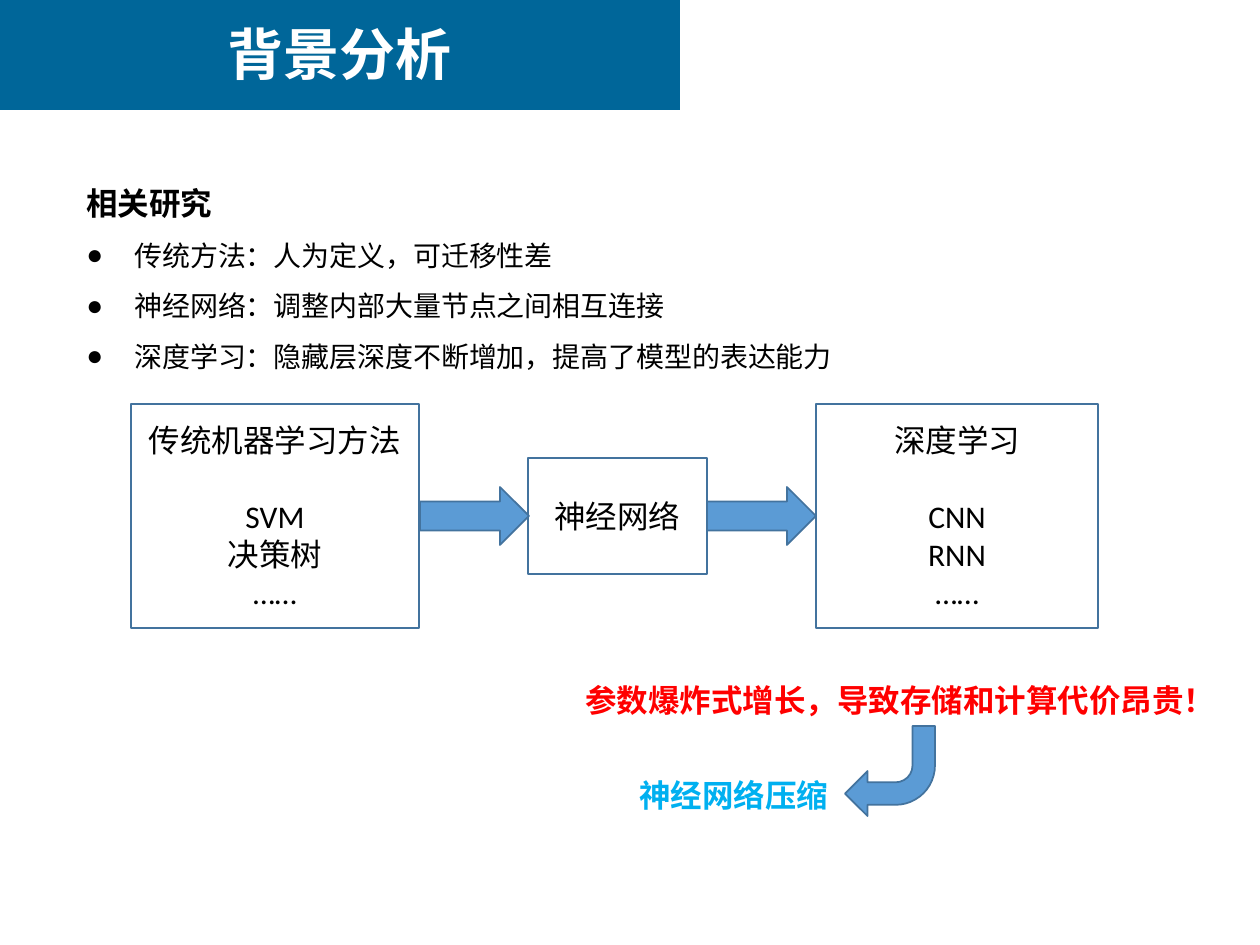
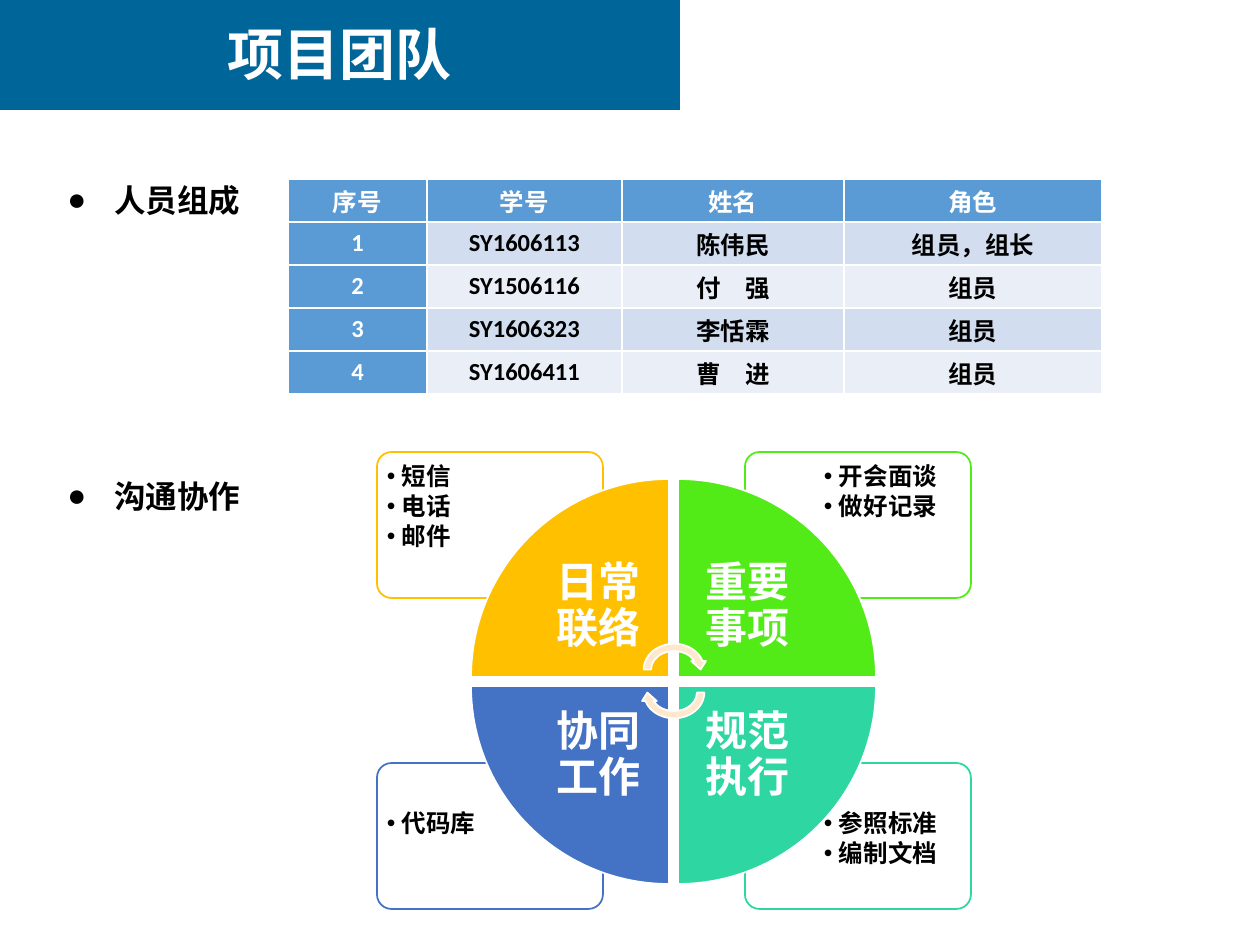
from lxml import etree
from pptx import Presentation, util as u
from pptx.dml.color import RGBColor
from pptx.enum import shapes, text
from pptx.oxml import ns

PX = 914400 / 126
NAVY = RGBColor(0x00, 0x66, 0x99)
BLUE = RGBColor(0x5B, 0x9B, 0xD5)
EDGE = RGBColor(0x43, 0x73, 0x9E)
WHITE = RGBColor(0xFF, 0xFF, 0xFF)
BLACK = RGBColor(0x00, 0x00, 0x00)
RED = RGBColor(0xFF, 0x00, 0x00)
SKY = RGBColor(0x00, 0xB0, 0xF0)
AMBER = RGBColor(0xFF, 0xC0, 0x00)
GREEN = RGBColor(0x53, 0xEB, 0x17)
TEAL = RGBColor(0x2E, 0xD7, 0xA1)
INDIGO = RGBColor(0x44, 0x72, 0xC4)
CREAM = RGBColor(0xFF, 0xE8, 0xCC)
BAND_DARK = RGBColor(0xD2, 0xDE, 0xEF)
BAND_LIGHT = RGBColor(0xEA, 0xEF, 0xF7)
CJK = "Noto Sans CJK SC"
KIND = shapes.MSO_SHAPE
LEFT, CENTER = text.PP_ALIGN.LEFT, text.PP_ALIGN.CENTER
MIDDLE = text.MSO_ANCHOR.MIDDLE


def place(slide, kind, box, fill=None, line=None, turn=0):
    shape = slide.shapes.add_shape(kind, *[round(v * PX) for v in box])
    shape.shadow.inherit = False
    shape.rotation = turn
    if fill is None:
        shape.fill.background()
    else:
        shape.fill.solid()
        shape.fill.fore_color.rgb = fill
    if line is None:
        shape.line.fill.background()
    else:
        shape.line.color.rgb = line
        shape.line.width = u.Pt(1)
    return shape


def write(frame, lines, size, color=BLACK, font=CJK, bold=False, align=LEFT,
          spacing=1.0, after=0, bullet=None, indent=0):
    frame.text = "\n".join(lines)
    for paragraph in frame.paragraphs:
        paragraph.alignment = align
        paragraph.line_spacing = spacing
        paragraph.space_after = u.Pt(after)
        if bullet:
            props = paragraph._p.get_or_add_pPr()
            props.set("marL", str(round(indent * PX)))
            props.set("indent", str(-round(indent * PX)))
            etree.SubElement(props, ns.qn("a:buFont"), typeface="Arial")
            etree.SubElement(props, ns.qn("a:buChar"), char=bullet)
        for run in paragraph.runs:
            run.font.size = u.Pt(size)
            run.font.bold = bold
            run.font.name = font
            run.font.color.rgb = color
            etree.SubElement(run._r.get_or_add_rPr(), ns.qn("a:ea"), typeface=CJK)


deck = Presentation()
deck.slide_width, deck.slide_height = u.Inches(10), u.Inches(7.5)
pages = []
for title in ("背景分析", "项目团队"):
    page = deck.slides.add_slide(deck.slide_layouts[6])
    place(page, KIND.RECTANGLE, (0, -1, 680, 111), NAVY)
    heading = page.shapes.add_textbox(0, round(13 * PX), round(680 * PX), round(81 * PX))
    heading.text_frame.word_wrap = True
    write(heading.text_frame, [title], 32, WHITE, bold=True, align=CENTER)
    pages.append(page)
background, team = pages

research = background.shapes.add_textbox(*[round(v * PX) for v in (74, 159, 1081, 338)])
research.text_frame.word_wrap = True
write(research.text_frame, [
    "相关研究",
    "传统方法：人为定义，可迁移性差",
    "神经网络：调整内部大量节点之间相互连接",
    "深度学习：隐藏层深度不断增加，提高了模型的表达能力",
], 16, font="Arial", spacing=1.5, bullet="●", indent=48)
topic = research.text_frame.paragraphs[0]
topic_props = topic._p.pPr
topic_props.set("marL", "0")
topic_props.set("indent", "0")
topic_props.remove(topic_props.find(ns.qn("a:buChar")))
etree.SubElement(topic_props, ns.qn("a:buNone"))
topic.runs[0].font.size = u.Pt(18)
topic.runs[0].font.bold = True
topic.runs[0].font.name = CJK

stages = [
    ((131, 404, 288, 224), ["传统机器学习方法", "SVM", "决策树", "……"]),
    ((528, 458, 179, 116), ["神经网络"]),
    ((816, 404, 282, 224), ["深度学习", "CNN", "RNN", "……"]),
]
for box, lines in stages:
    stage = place(background, KIND.RECTANGLE, box, line=EDGE)
    stage.text_frame.vertical_anchor = MIDDLE
    write(stage.text_frame, lines, 18, font="Calibri", align=CENTER)
    if len(lines) > 1:
        stage.text_frame.paragraphs[0].space_after = u.Pt(22)
for left in (420, 707):
    place(background, KIND.RIGHT_ARROW, (left, 487, 109, 58), BLUE, EDGE)

place(background, KIND.BENT_ARROW, (845, 726, 90, 90), BLUE, EDGE, 180)
for box, line, color in (
    ((573, 675, 662, 50), "参数爆炸式增长，导致存储和计算代价昂贵！", RED),
    ((627, 770, 218, 50), "神经网络压缩", SKY),
):
    conclusion = background.shapes.add_textbox(*[round(v * PX) for v in box])
    conclusion.text_frame.word_wrap = False
    conclusion.text_frame.auto_size = text.MSO_AUTO_SIZE.SHAPE_TO_FIT_TEXT
    write(conclusion.text_frame, [line], 18, color, "Calibri", True)

for box, line in (((55, 156, 726, 60), "人员组成"), ((55, 452, 310, 71), "沟通协作")):
    section = team.shapes.add_textbox(*[round(v * PX) for v in box])
    section.text_frame.word_wrap = True
    write(section.text_frame, [line], 18, font="Arial", bold=True,
          spacing=1.5, bullet="●", indent=47)

members = [
    ("序号", "学号", "姓名", "角色"),
    ("1", "SY1606113", "陈伟民", "组员，组长"),
    ("2", "SY1506116", "付　强", "组员"),
    ("3", "SY1606323", "李恬霖", "组员"),
    ("4", "SY1606411", "曹　进", "组员"),
]
roster = team.shapes.add_table(
    5, 4, *[round(v * PX) for v in (288, 179, 814, 215)]).table
for column, width in zip(roster.columns, (139, 195, 222, 258)):
    column.width = round(width * PX)
for r, member in enumerate(members):
    roster.rows[r].height = round(43 * PX)
    for c, value in enumerate(member):
        cell = roster.cell(r, c)
        is_header = r == 0 or c == 0
        cell.fill.solid()
        cell.fill.fore_color.rgb = BLUE if is_header else BAND_DARK if r % 2 else BAND_LIGHT
        cell.vertical_anchor = MIDDLE
        cell.margin_left = cell.margin_right = round(9 * PX)
        cell.margin_top = cell.margin_bottom = 0
        write(cell.text_frame, [value], 14, WHITE if is_header else BLACK,
              "Calibri", True, CENTER)
        for order, side in enumerate(("lnL", "lnR", "lnT", "lnB")):
            border = etree.Element(ns.qn("a:" + side), w=str(u.Pt(1)))
            paint = etree.SubElement(border, ns.qn("a:solidFill"))
            etree.SubElement(paint, ns.qn("a:srgbClr"), val=str(WHITE))
            cell._tc.get_or_add_tcPr().insert(order, border)

quadrants = [
    (0, 0, 0, AMBER, "日常联络", ["短信", "电话", "邮件"]),
    (1, 0, 90, GREEN, "重要事项", ["开会面谈", "做好记录"]),
    (1, 1, 180, TEAL, "规范执行", ["参照标准", "编制文档"]),
    (0, 1, 270, INDIGO, "协同工作", ["代码库"]),
]
for col, row, turn, color, label, details in quadrants:
    card = place(team, KIND.ROUNDED_RECTANGLE,
                 (377 + 368 * col, 452 + 311 * row, 226, 146), WHITE, color)
    card.adjustments[0] = 0.1
    box = (379 + 437 * col, 456 + 347 * row, 151, 103)
    notes = team.shapes.add_textbox(*[round(v * PX) for v in box]).text_frame
    notes.word_wrap = True
    notes.margin_left = notes.margin_right = round(8 * PX)
    notes.margin_top = notes.margin_bottom = round(8 * PX)
    write(notes, details, 14, bold=True, spacing=0.9, after=2, bullet="•", indent=15)

for col, row, turn, color, label, details in quadrants:
    place(team, KIND.PIE_WEDGE, (471 + 207 * col, 479 + 207 * row, 198, 198),
          color, WHITE, turn)
    box = (529 + 149 * col, 537 + 149 * row, 140, 140)
    caption = team.shapes.add_textbox(*[round(v * PX) for v in box]).text_frame
    caption.word_wrap = True
    caption.vertical_anchor = MIDDLE
    caption.margin_left = caption.margin_right = round(24 * PX)
    caption.margin_top = caption.margin_bottom = round(24 * PX)
    write(caption, [label], 24, WHITE, bold=True, align=CENTER, spacing=0.9)

for top, turn in ((640, 0), (663, 180)):
    place(team, KIND.CIRCULAR_ARROW, (640, top, 68, 59), CREAM, WHITE, turn)

deck.save("out.pptx")
